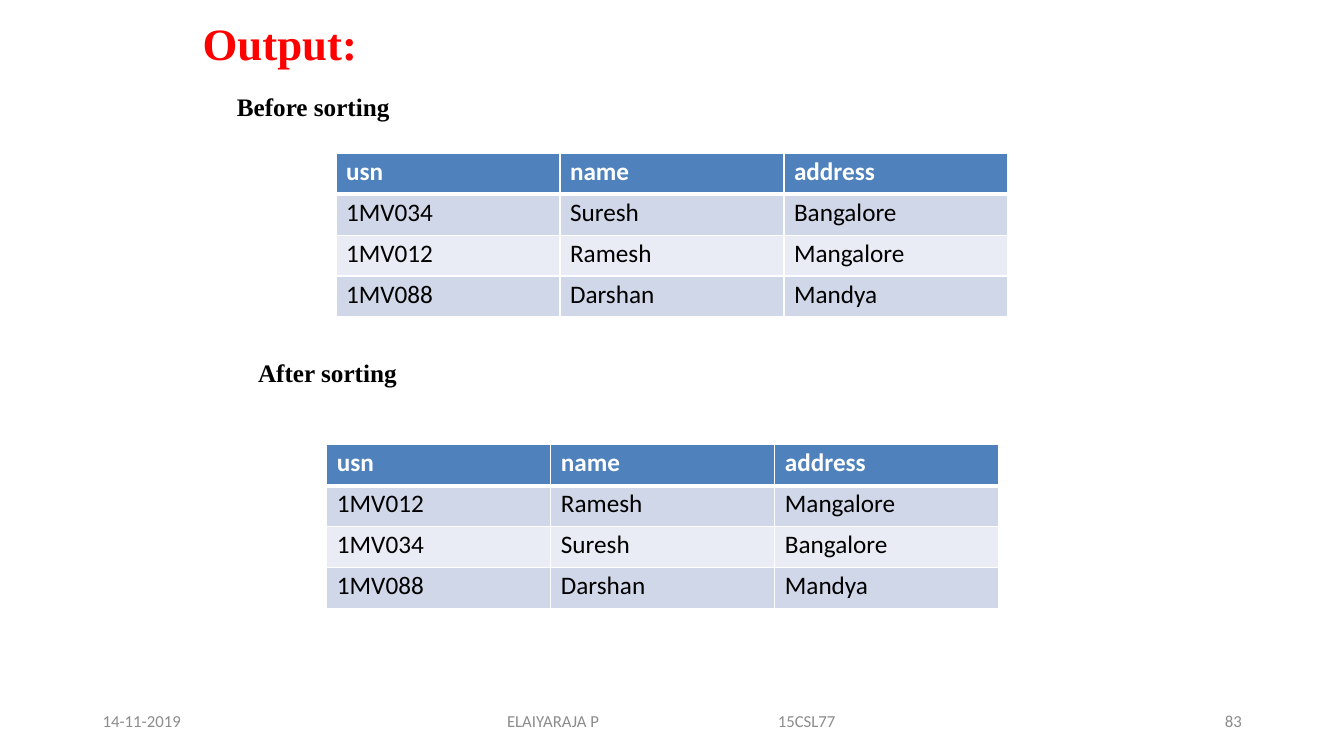
from dataclasses import dataclass

from lxml import etree
from pptx import Presentation
from pptx.dml.color import RGBColor
from pptx.enum.text import MSO_ANCHOR, PP_ALIGN
from pptx.oxml.ns import qn
from pptx.slide import Slide
from pptx.table import _Cell
from pptx.util import Pt

LEFT, RIGHT = PP_ALIGN.LEFT, PP_ALIGN.RIGHT
TOP, MIDDLE = MSO_ANCHOR.TOP, MSO_ANCHOR.MIDDLE
SERIF, SANS = "Times New Roman", "Calibri"
COLORS = {
    "title": "FF0000",
    "text": "000000",
    "footer": "8C8C8C",
    "white": "FFFFFF",
    "header": "4F81BC",
    "odd": "D0D7E8",
    "even": "E9ECF4",
}
COL_WIDTH, ROW_HEIGHT = 160, 29.2
THIN, THICK = 1, 3


@dataclass(frozen=True)
class Label:
    text: str
    left: float
    top: float
    width: float
    height: float
    size: float
    color: str
    font: str = SERIF
    bold: bool = True
    align: PP_ALIGN = LEFT
    anchor: MSO_ANCHOR = TOP
    inset_x: float = 0.7
    inset_y: float = 0.9
    space_before: float = 1
    tab: float = 0


@dataclass(frozen=True)
class Listing:
    left: float
    top: float
    rows: tuple[tuple[str, str, str], ...]


def footer(text: str, left: float, width: float, align: PP_ALIGN = LEFT,
           inset_x: float = 7.2, tab: float = 0) -> Label:
    return Label(text, left, 500.5, width, 28.8, 12, "footer", SANS, False,
                 align, MIDDLE, inset_x, 3.6, 0, tab)


HEADER = ("usn", "name", "address")
SURESH = ("1MV034", "Suresh", "Bangalore")
RAMESH = ("1MV012", "Ramesh", "Mangalore")
DARSHAN = ("1MV088", "Darshan", "Mandya")

LISTINGS = (
    Listing(240, 109.6, (HEADER, SURESH, RAMESH, DARSHAN)),
    Listing(233.5, 317.7, (HEADER, RAMESH, SURESH, DARSHAN)),
)
LABELS = (
    Label("Before sorting", 168.5, 64.1, 111, 23.8, 18, "text"),
    Label("After sorting", 183.6, 254.2, 101, 23.8, 18, "text"),
    Label("Output:", 144, 10.8, 154, 39.6, 32, "title", anchor=MIDDLE),
    footer("14-11-2019", 66.2, 216),
    footer("ELAIYARAJA P\t15CSL77", 318.2, 324, inset_x=44, tab=193.4),
    footer("83", 678.2, 216, RIGHT),
)


def add_label(s: Slide, label: Label) -> None:
    sp = s.shapes.add_textbox(Pt(label.left), Pt(label.top),
                              Pt(label.width), Pt(label.height))
    tf = sp.text_frame
    tf.word_wrap = True
    tf.vertical_anchor = label.anchor
    tf.margin_left = Pt(label.inset_x)
    tf.margin_right = Pt(label.inset_x if label.align == RIGHT else 0)
    tf.margin_top = Pt(label.inset_y)
    tf.margin_bottom = Pt(0)
    if label.anchor == MIDDLE:
        tf.margin_bottom = tf.margin_top
    p = tf.paragraphs[0]
    p.add_run().text = label.text
    p.alignment = label.align
    p.space_before = Pt(label.space_before)
    if label.tab:
        tabs = etree.SubElement(p._p.get_or_add_pPr(), qn("a:tabLst"))
        etree.SubElement(tabs, qn("a:tab"), pos=str(Pt(label.tab)), algn="l")
    p.font.name = label.font
    p.font.size = Pt(label.size)
    p.font.bold = label.bold
    p.font.color.rgb = RGBColor.from_string(COLORS[label.color])


def set_borders(cell: _Cell, top: float, bottom: float) -> None:
    tc_pr = cell._tc.get_or_add_tcPr()
    for side, width in (("L", THIN), ("R", THIN), ("T", top), ("B", bottom)):
        line = etree.SubElement(tc_pr, qn(f"a:ln{side}"), w=str(Pt(width)))
        fill = etree.SubElement(line, qn("a:solidFill"))
        etree.SubElement(fill, qn("a:srgbClr"), val=COLORS["white"])


def fill_cell(cell: _Cell, text: str, row: int) -> None:
    header = row == 0
    band = "header" if header else "odd" if row % 2 else "even"
    set_borders(cell, THICK if row == 1 else THIN, THICK if header else THIN)
    cell.fill.solid()
    cell.fill.fore_color.rgb = RGBColor.from_string(COLORS[band])
    cell.margin_left = Pt(7.2)
    cell.margin_right = cell.margin_bottom = Pt(0)
    cell.margin_top = Pt(2.2)
    p = cell.text_frame.paragraphs[0]
    p.add_run().text = text
    p.space_before = Pt(2.5)
    p.font.name = SANS
    p.font.size = Pt(18)
    p.font.bold = header
    p.font.color.rgb = RGBColor.from_string(COLORS["white" if header else "text"])


def add_listing(s: Slide, listing: Listing) -> None:
    n_rows, n_cols = len(listing.rows), len(HEADER)
    table = s.shapes.add_table(n_rows, n_cols, Pt(listing.left), Pt(listing.top),
                               Pt(COL_WIDTH * n_cols), Pt(ROW_HEIGHT * n_rows)).table
    for column in table.columns:
        column.width = Pt(COL_WIDTH)
    for i, values in enumerate(listing.rows):
        table.rows[i].height = Pt(ROW_HEIGHT)
        for j, text in enumerate(values):
            fill_cell(table.cell(i, j), text, i)


def main() -> None:
    prs = Presentation()
    prs.slide_width, prs.slide_height = Pt(960), Pt(540)
    s = prs.slides.add_slide(prs.slide_layouts[6])
    for listing in LISTINGS:
        add_listing(s, listing)
    for label in LABELS:
        add_label(s, label)
    prs.save("out.pptx")


if __name__ == "__main__":
    main()
